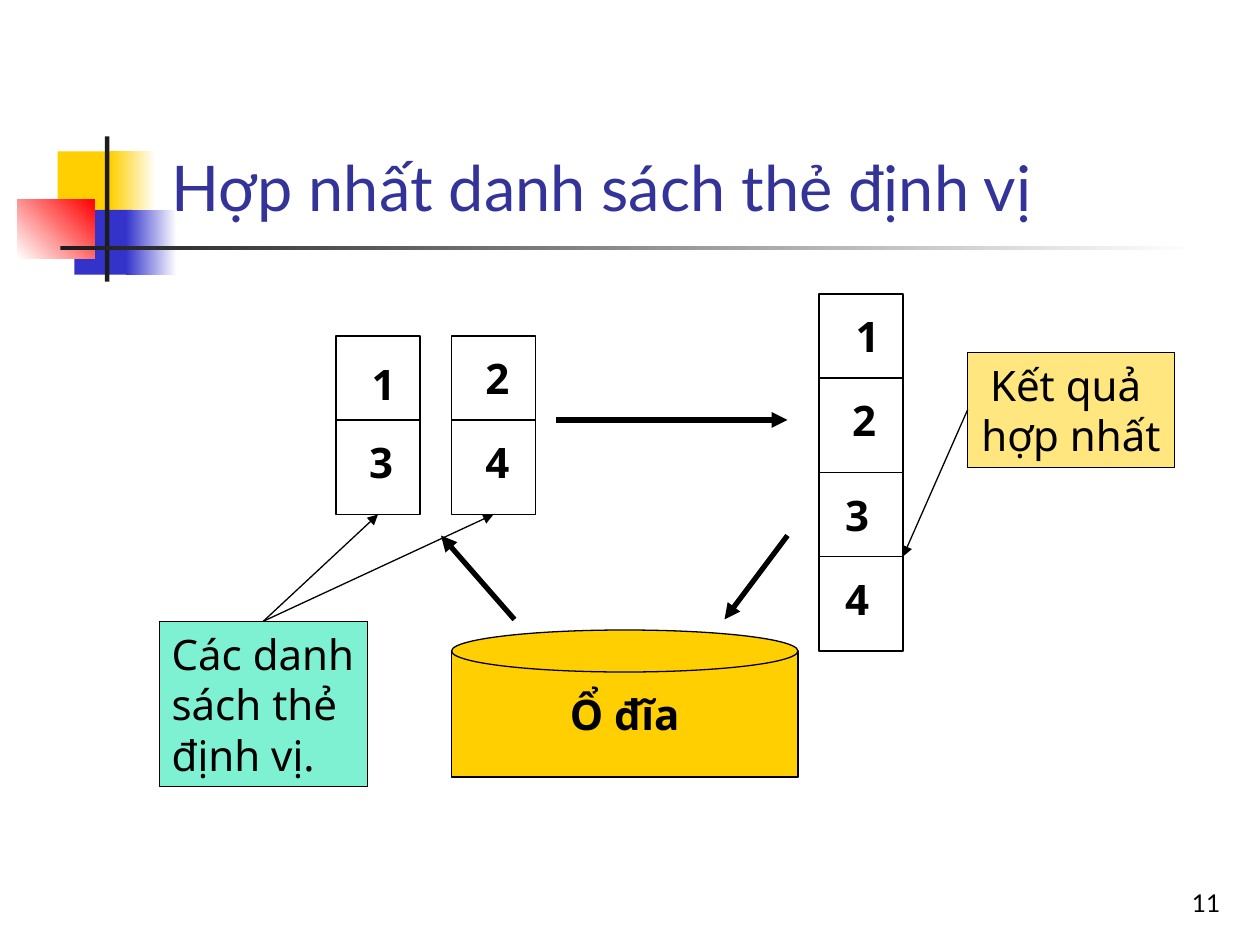
from lxml.etree import SubElement
from pptx import Presentation
from pptx.dml.color import RGBColor
from pptx.enum.shapes import MSO_CONNECTOR, MSO_SHAPE
from pptx.enum.text import MSO_ANCHOR, MSO_AUTO_SIZE, PP_ALIGN
from pptx.oxml.ns import qn
from pptx.util import Pt

COLORS = {
    "black": "000000", "white": "FFFFFF", "yellow": "FFCF01", "blue": "3333CC",
    "red": "FF0000", "charcoal": "1C1C1C", "title": "333399", "mint": "00E4A8",
}
TITLE_FONT, BODY_FONT = "Lato", "Noto Sans"
CELL = 48
LIST_HEIGHT = 102


def rgb(name):
    return RGBColor.from_string(COLORS[name])


def add_box(shapes, box, fill, kind=MSO_SHAPE.RECTANGLE, outlined=True, opacity=None):
    shape = shapes.add_shape(kind, *map(Pt, box))
    shape.shadow.inherit = False
    shape.fill.solid()
    shape.fill.fore_color.rgb = rgb(fill)
    if opacity is not None:
        color = shape.fill._xPr.find(qn("a:solidFill"))[0]
        SubElement(color, qn("a:alpha"), val=str(opacity * 1000))
    if outlined:
        shape.line.color.rgb = rgb("black")
        shape.line.width = Pt(0.75)
    else:
        shape.line.fill.background()
    return shape


def add_gradient_box(shapes, box, start, end, angle=0):
    shape = add_box(shapes, box, start, outlined=False)
    shape.fill.gradient()
    shape.fill.gradient_angle = angle
    for stop, name in zip(shape.fill.gradient_stops, (start, end)):
        stop.color.rgb = rgb(name)


def add_line(shapes, start, end, width=0.75, arrow=False):
    line = shapes.add_connector(MSO_CONNECTOR.STRAIGHT, *map(Pt, (*start, *end)))
    line.line.color.rgb = rgb("black")
    line.line.width = Pt(width)
    if arrow:
        SubElement(line.line._get_or_add_ln(), qn("a:tailEnd"), type="triangle")
    SubElement(line._element.spPr, qn("a:effectLst"))


def write(shape, lines, size=24, font=BODY_FONT, color="black", bold=False,
          align=PP_ALIGN.CENTER, anchor=MSO_ANCHOR.MIDDLE, wrap=False):
    frame = shape.text_frame
    frame.text = "\n".join(lines)
    frame.auto_size = MSO_AUTO_SIZE.NONE
    frame.word_wrap = wrap
    frame.vertical_anchor = anchor
    for paragraph in frame.paragraphs:
        paragraph.alignment = align
        paragraph.font.size = Pt(size)
        paragraph.font.name = font
        paragraph.font.bold = bold
        paragraph.font.color.rgb = rgb(color)


def draw_ornament(shapes, left, top):
    """Overlapping colour squares crossed by a vertical bar and a fading rule."""
    add_box(shapes, (left + 23, top + 8.5, 35, 37.5), "yellow", outlined=False)
    add_gradient_box(shapes, (left + 53, top + 8.5, 26, 37.5), "yellow", "white")
    add_box(shapes, (left + 32.5, top + 42, 33, 37), "blue", outlined=False)
    add_gradient_box(shapes, (left + 62, top + 42, 29, 37), "blue", "white")
    add_gradient_box(shapes, (left, top + 36, 44, 33.5), "white", "red", 45)
    add_box(shapes, (left + 50, top, 2.5, 83), "charcoal", outlined=False)
    add_gradient_box(shapes, (left + 24.5, top + 62.5, 648, 2.5), "charcoal", "white")


def draw_title(slide, box):
    title = slide.shapes.title
    title.left, title.top, title.width, title.height = map(Pt, box)
    write(title, ["Hợp nhất danh sách thẻ định vị"], 36, TITLE_FONT, "title",
          align=PP_ALIGN.LEFT, anchor=MSO_ANCHOR.BOTTOM, wrap=True)


def draw_page_number(shapes, box):
    number = shapes.add_textbox(*map(Pt, box))
    write(number, ["11"], 14, TITLE_FONT, align=PP_ALIGN.RIGHT,
          anchor=MSO_ANCHOR.BOTTOM, wrap=True)


def draw_list(shapes, left, top, entries):
    """Two stacked cells; each entry is its digit and its offset in the list."""
    add_box(shapes, (left, top, CELL, LIST_HEIGHT), "white")
    add_line(shapes, (left, top + CELL), (left + CELL, top + CELL))
    for digit, x, y in entries:
        label = shapes.add_textbox(Pt(left + x), Pt(top + y), Pt(29.5), Pt(36))
        write(label, [digit], bold=True)


def draw_disk(shapes, left, top, width, height):
    rim = 24
    body = add_box(shapes, (left, top + rim / 2, width, height - rim / 2), "yellow")
    write(body, ["Ổ đĩa"], bold=True)
    add_box(shapes, (left, top, width, rim), "yellow", MSO_SHAPE.OVAL)


def draw_callout(shapes, box, fill, lines, start, targets, **text_format):
    callout = add_box(shapes, box, fill, opacity=50)
    write(callout, lines, **text_format)
    for target in targets:
        add_line(shapes, start, target, arrow=True)


def main():
    presentation = Presentation()
    presentation.slide_width, presentation.slide_height = Pt(720), Pt(540)
    slide = presentation.slides.add_slide(presentation.slide_layouts[5])
    shapes = slide.shapes

    draw_ornament(shapes, 10, 78)
    draw_page_number(shapes, (554.5, 492, 150, 36))
    draw_title(slide, (91, 16.5, 613.5, 115))

    draw_list(shapes, 192, 192, [("1", 12.5, 9), ("3", 11, 54)])
    draw_list(shapes, 258, 192, [("2", 11.5, 6), ("4", 11.5, 54)])
    draw_disk(shapes, 258, 360, 198, 84)
    for start, end in [((294, 354), (252, 306)),
                       ((318, 240), (450, 240)),
                       ((450, 306), (414, 354))]:
        add_line(shapes, start, end, width=3, arrow=True)

    merged = shapes.add_group_shape().shapes
    draw_list(merged, 468, 168, [("1", 13, 6), ("2", 11, 54)])
    draw_list(merged, 468, 168 + LIST_HEIGHT, [("3", 7, 6), ("4", 7, 54)])

    draw_callout(shapes, (91, 355, 119, 94.5), "mint", ["Các danh sách thẻ định vị."],
                 (150.5, 355), [(216, 294), (282, 294)],
                 align=PP_ALIGN.LEFT, wrap=True)
    draw_callout(shapes, (553, 201.5, 118, 65.5), "yellow", ["Kết quả ", "hợp nhất"],
                 (553, 234), [(516, 318)])

    presentation.save("out.pptx")


if __name__ == "__main__":
    main()
